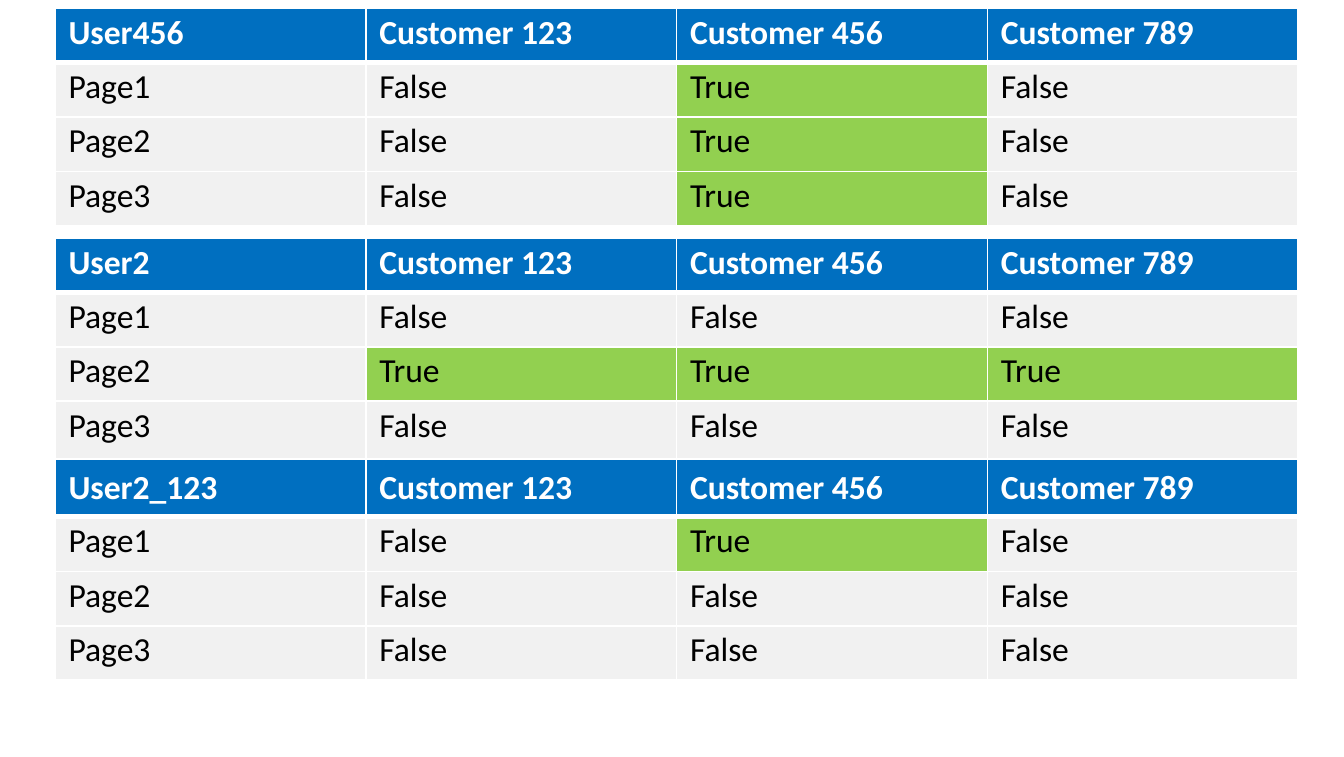
from lxml import etree
from pptx import Presentation
from pptx.dml.color import RGBColor
from pptx.oxml.ns import qn
from pptx.util import Inches, Pt

BLUE = RGBColor(0x00, 0x6F, 0xC0)
GREEN = RGBColor(0x92, 0xD0, 0x50)
GRAY = RGBColor(0xF1, 0xF1, 0xF1)
WHITE = RGBColor(0xFF, 0xFF, 0xFF)
BLACK = RGBColor(0x00, 0x00, 0x00)

CUSTOMERS = ["Customer 123", "Customer 456", "Customer 789"]
PAGES = ["Page1", "Page2", "Page3"]
LEFT, WIDTH = 0.41, 9.25
ROW_HEIGHT = 1.62 / 4
TALL_ROW_HEIGHT = 0.43


def permission_rows(user, granted):
    """Return a header row and one row per page; granted holds (page, customer) pairs."""
    rows = [[user] + CUSTOMERS]
    for page in PAGES:
        rows.append([page] + [str((page, customer) in granted) for customer in CUSTOMERS])
    return rows


def add_borders(cell, top, bottom):
    properties = cell._tc.get_or_add_tcPr()
    widths = {"a:lnL": 1, "a:lnR": 1, "a:lnT": top, "a:lnB": bottom}
    for index, (tag, width) in enumerate(widths.items()):
        line = etree.Element(qn(tag), w=str(Pt(width)))
        fill = etree.SubElement(line, qn("a:solidFill"))
        etree.SubElement(fill, qn("a:srgbClr"), val=str(WHITE))
        properties.insert(index, line)


user456 = permission_rows("User456", {(page, "Customer 456") for page in PAGES})
user2 = permission_rows("User2", {("Page2", customer) for customer in CUSTOMERS})
user2_123 = permission_rows("User2_123", {("Page1", "Customer 456")})

# Each table: top, rows, indexes of the taller rows
tables = [
    (0.06, user456, []),
    (1.77, user2 + user2_123, [3, 4]),
]

presentation = Presentation()
presentation.slide_width = Inches(10)
presentation.slide_height = Inches(5.63)
slide = presentation.slides.add_slide(presentation.slide_layouts[6])

for top, rows, tall_rows in tables:
    heights = [TALL_ROW_HEIGHT if index in tall_rows else ROW_HEIGHT
               for index in range(len(rows))]
    table = slide.shapes.add_table(
        len(rows), len(rows[0]), Inches(LEFT), Inches(top),
        Inches(WIDTH), Inches(sum(heights))).table
    table.horz_banding = False

    for row_index, values in enumerate(rows):
        table.rows[row_index].height = Inches(heights[row_index])
        position = row_index % (len(PAGES) + 1)
        is_header = position == 0
        for column_index, value in enumerate(values):
            cell = table.cell(row_index, column_index)
            cell.text = value
            cell.margin_left = Inches(0.1)
            cell.margin_top = Inches(0.06 if is_header and row_index else 0.03)
            cell.margin_right = cell.margin_bottom = 0

            cell.fill.solid()
            if is_header:
                cell.fill.fore_color.rgb = BLUE
            else:
                cell.fill.fore_color.rgb = GREEN if value == "True" else GRAY
            add_borders(cell, top=3 if position == 1 else 1, bottom=3 if is_header else 1)

            font = cell.text_frame.paragraphs[0].font
            font.name = "Calibri"
            font.size = Pt(18)
            font.bold = is_header
            font.color.rgb = WHITE if is_header else BLACK

presentation.save("out.pptx")
